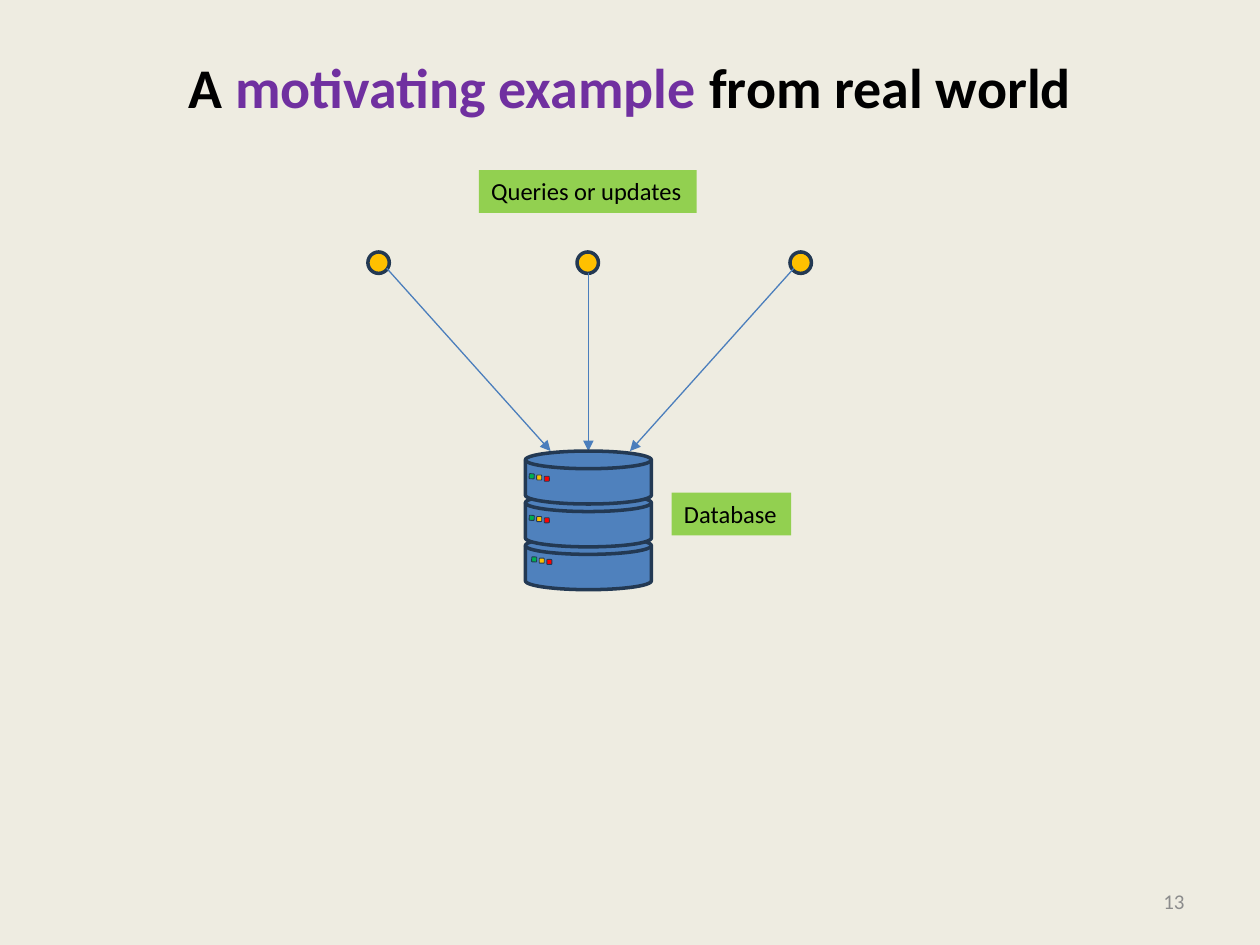
import pptx
import pptx.util
import pptx.dml.color
import pptx.enum.shapes
import pptx.enum.text
import pptx.oxml.ns
import lxml.etree

Inches = pptx.util.Inches
Pt = pptx.util.Pt
RGBColor = pptx.dml.color.RGBColor
KIND = pptx.enum.shapes.MSO_SHAPE
ANCHOR = pptx.enum.text.MSO_ANCHOR
ALIGN = pptx.enum.text.PP_ALIGN

CREAM = RGBColor(0xEE, 0xEC, 0xE1)
BLACK = RGBColor(0, 0, 0)
PURPLE = RGBColor(0x70, 0x30, 0xA0)
GRAY = RGBColor(0x8C, 0x8C, 0x8C)
NAVY = RGBColor(0x23, 0x39, 0x53)
BLUE = RGBColor(0x4F, 0x81, 0xBD)
ARROW = RGBColor(0x4B, 0x7E, 0xBC)
LIME = RGBColor(0x92, 0xD0, 0x50)
GOLD = RGBColor(0xFF, 0xC0, 0x00)
GREEN = RGBColor(0x00, 0xB0, 0x50)
RED = RGBColor(0xFF, 0x00, 0x00)


def style(item, **values):
    for name, value in values.items():
        setattr(item, name, value)


def write(para, text, size, color, bold=False):
    run = para.add_run()
    run.text = text
    style(run.font, name="Calibri", size=Pt(size), bold=bold)
    run.font.color.rgb = color


def shape(parent, kind, box, fill, width=0):
    item = parent.add_shape(kind, *map(Inches, box))
    item.shadow.inherit = False
    item.fill.solid()
    item.fill.fore_color.rgb = fill
    if width:
        item.line.color.rgb = NAVY
        item.line.width = Pt(width)
    else:
        item.line.fill.background()
    return item


def arrow(parent, start, end):
    line = parent.add_connector(
        pptx.enum.shapes.MSO_CONNECTOR.STRAIGHT, *map(Inches, start + end))
    line.line.color.rgb = ARROW
    line.line.width = Pt(0.75)
    qn = pptx.oxml.ns.qn
    lxml.etree.SubElement(line.line._get_or_add_ln(), qn("a:tailEnd"), type="triangle")
    lxml.etree.SubElement(line._element.spPr, qn("a:effectLst"))


def title(slide, box):
    frame = slide.shapes.add_textbox(*map(Inches, box)).text_frame
    style(frame, word_wrap=True, vertical_anchor=ANCHOR.TOP, margin_top=Inches(0.12))
    para = frame.paragraphs[0]
    para.alignment = ALIGN.CENTER
    parts = (("A", BLACK), (" motivating example ", PURPLE), ("from real world", BLACK))
    for text, color in parts:
        write(para, text, 32, color, True)


def number(slide, box):
    frame = slide.shapes.add_textbox(*map(Inches, box)).text_frame
    style(frame, word_wrap=True, vertical_anchor=ANCHOR.MIDDLE)
    para = frame.paragraphs[0]
    para.alignment = ALIGN.RIGHT
    write(para, "13", 12, GRAY)


def label(slide, box, text):
    frame = shape(slide.shapes, KIND.RECTANGLE, box, LIME).text_frame
    style(frame, word_wrap=False, vertical_anchor=ANCHOR.TOP,
          auto_size=pptx.enum.text.MSO_AUTO_SIZE.SHAPE_TO_FIT_TEXT)
    para = frame.paragraphs[0]
    para.alignment = ALIGN.LEFT
    write(para, text, 14, BLACK)


def clients(slide, box):
    left, top, width, height = box
    size = 0.17
    # Client dots
    for shift in (0, 1.66, width - size):
        shape(slide.shapes, KIND.OVAL, (left + shift, top, size, size), GOLD, 2)
    # Arrows down to the database
    for start, end in ((0.15, 1.45), (1.75, 1.75), (3.38, 2.08)):
        drop = size if start == end else 0.13
        arrow(slide.shapes, (left + start, top + drop), (left + end, top + height))


def database(slide, box):
    left, top, width, height = box
    group = slide.shapes.add_group_shape().shapes
    disk = 0.42
    pitch = (height - disk) / 2
    # Disks, the lowest at the back
    for row in (2, 1, 0):
        shape(group, KIND.FLOWCHART_MAGNETIC_DISK,
              (left, top + row * pitch, width, disk), BLUE, 2)
    # Status lights
    for row, inset in enumerate((0.03, 0.03, 0.05)):
        for col, color in enumerate((GREEN, GOLD, RED)):
            spot = (left + inset + 0.06 * col, top + 0.18 + 0.33 * row + 0.01 * col)
            light = shape(group, KIND.ROUNDED_RECTANGLE, spot + (0.04, 0.04), color, 0.5)
            if color == GREEN:
                light.rotation = 2.8


def main():
    deck = pptx.Presentation()
    style(deck, slide_width=Inches(10), slide_height=Inches(7.5))
    slide = deck.slides.add_slide(deck.slide_layouts[6])
    slide.background.fill.solid()
    slide.background.fill.fore_color.rgb = CREAM
    title(slide, (0.5, 0.3, 9, 1.25))
    number(slide, (7.17, 6.95, 2.33, 0.4))
    clients(slide, (2.92, 2, 3.52, 1.58))
    database(slide, (4.17, 3.58, 1, 1.1))
    label(slide, (3.8, 1.35, 1.73, 0.34), "Queries or updates")
    label(slide, (5.33, 3.91, 0.95, 0.34), "Database")
    deck.save("out.pptx")


if __name__ == "__main__":
    main()
